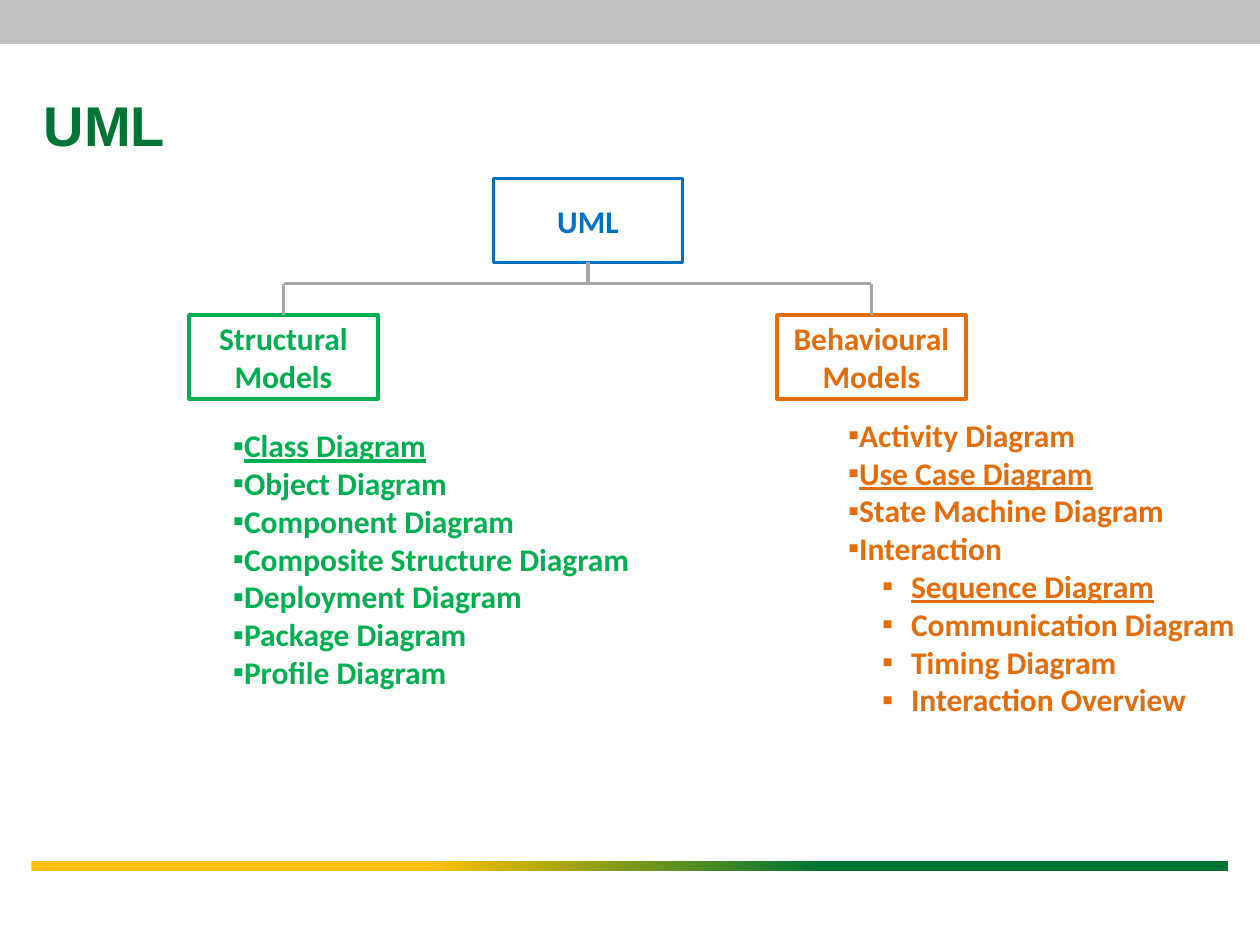
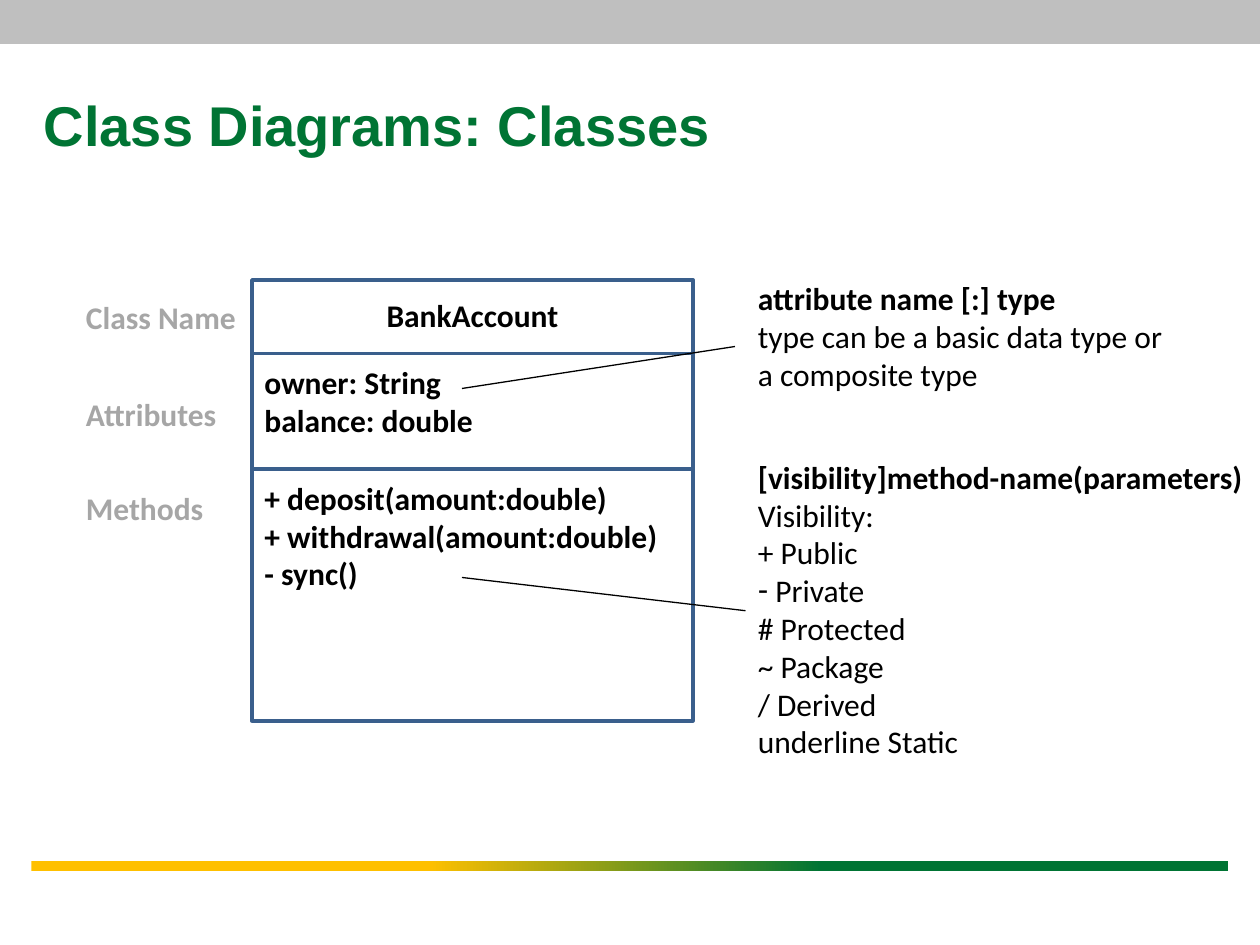
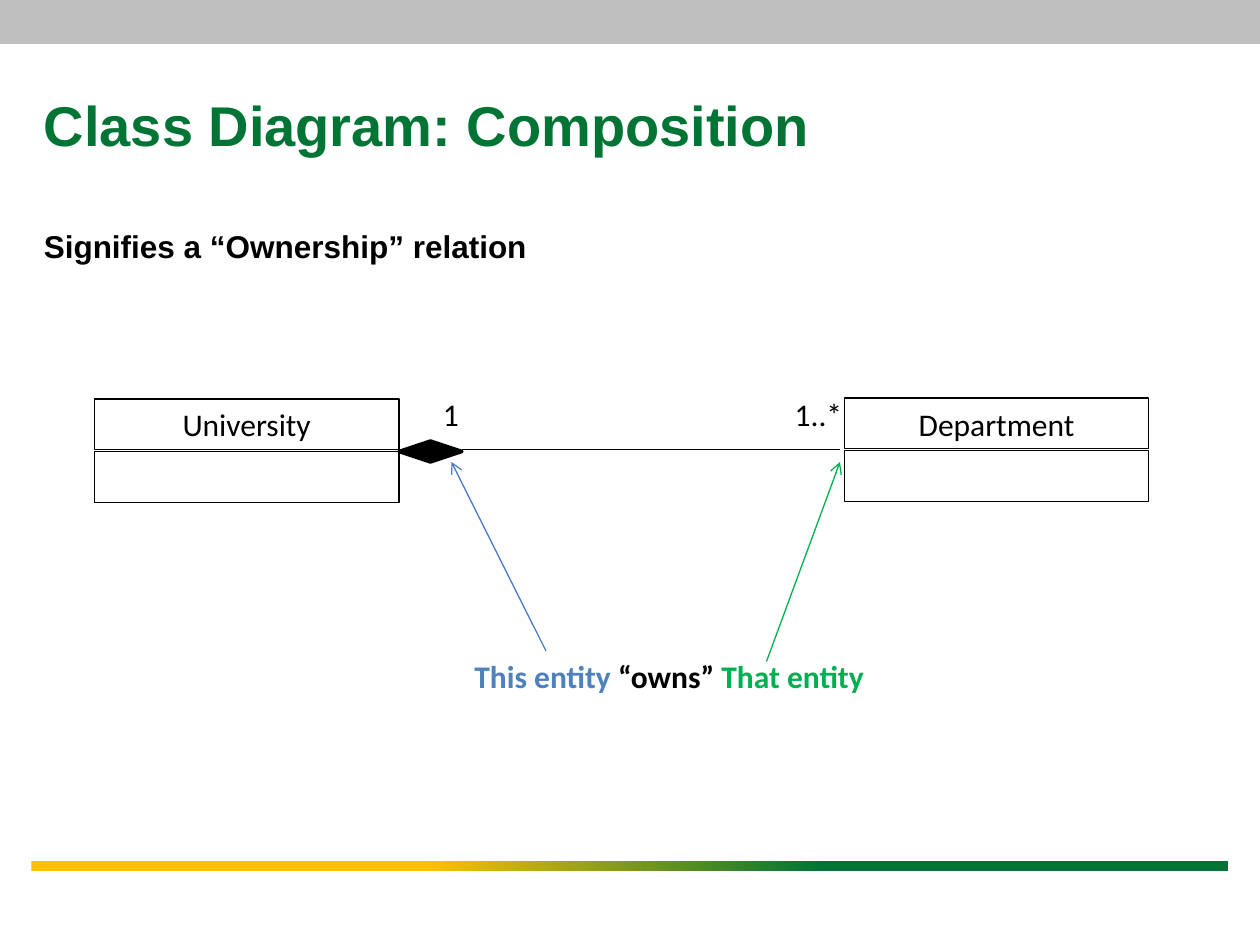
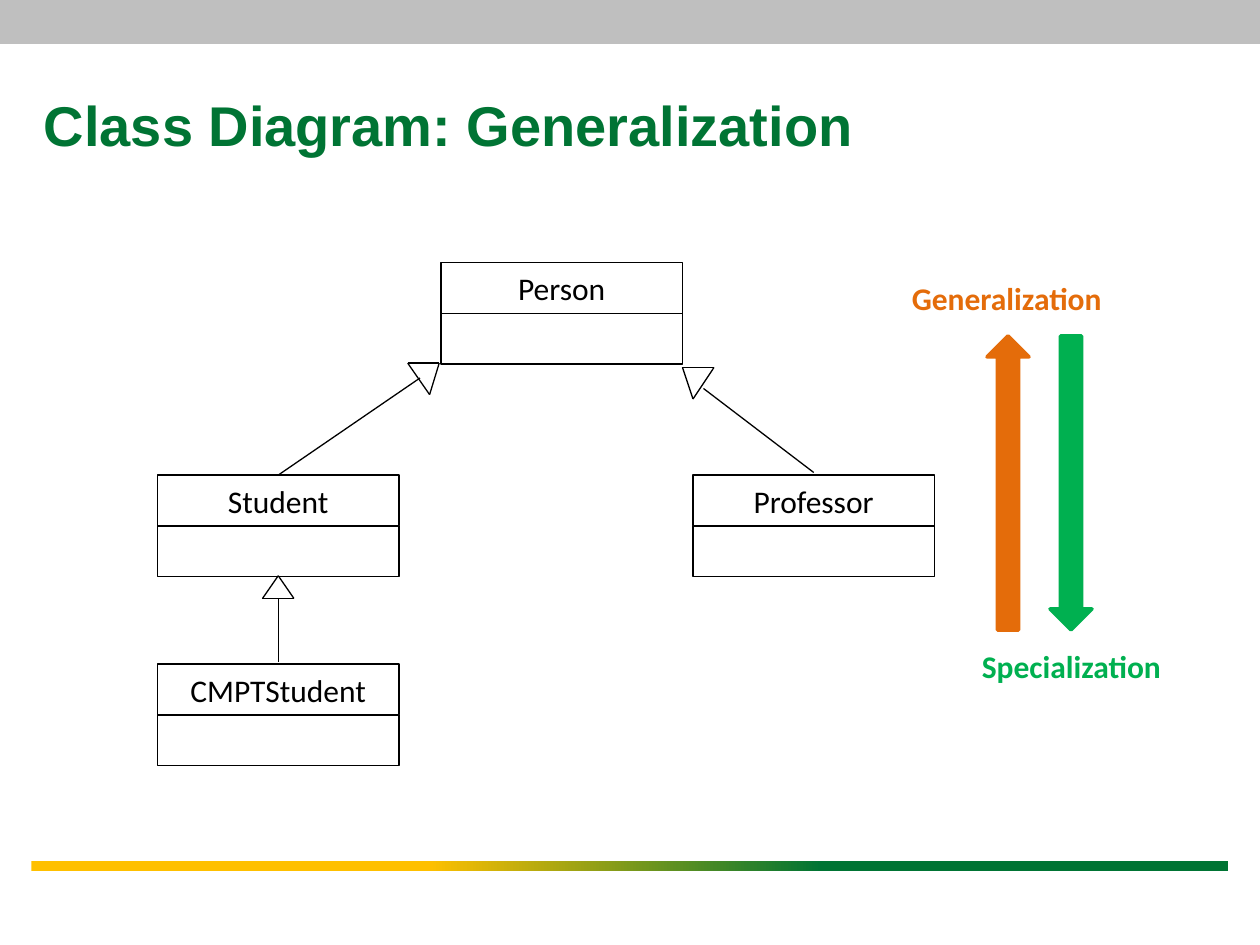
from copy import deepcopy

from lxml.etree import SubElement
from pptx import Presentation
from pptx.dml.color import RGBColor
from pptx.enum.shapes import MSO_CONNECTOR, MSO_SHAPE
from pptx.enum.text import MSO_ANCHOR, MSO_AUTO_SIZE, PP_ALIGN
from pptx.oxml.ns import qn
from pptx.util import Pt

# Colours
BLACK = RGBColor(0x00, 0x00, 0x00)
BAND_GRAY = RGBColor(0xBF, 0xBF, 0xBF)
GRAY = RGBColor(0xA6, 0xA6, 0xA6)
GOLD = RGBColor(0xFF, 0xC0, 0x00)
DARK_GREEN = RGBColor(0x00, 0x74, 0x34)
GREEN = RGBColor(0x00, 0xB0, 0x50)
ORANGE = RGBColor(0xE4, 0x6C, 0x0A)
BLUE = RGBColor(0x00, 0x70, 0xC0)
SOFT_BLUE = RGBColor(0x4F, 0x81, 0xBD)
ARROW_BLUE = RGBColor(0x4B, 0x7E, 0xBC)
FRAME_BLUE = RGBColor(0x3A, 0x5F, 0x8C)

# Text styles
PLAIN = {"name": "Calibri", "size": Pt(18), "bold": False}
BOLD = {**PLAIN, "bold": True}
UNDERLINED = {**BOLD, "underline": True}
TITLE = {"name": "Arial", "size": Pt(32), "bold": True}
LEAD = {**TITLE, "size": Pt(18)}

ROW = 29  # height of one line of text with its margins
SQUARE = "\u25aa"


def add_spans(para, spans):
    """Add (text, style, colour) spans; a vertical tab breaks the line."""
    for text, style, color in spans:
        for index, piece in enumerate(text.split("\v")):
            if index:
                para.add_line_break()
            span = para.add_run()
            span.text = piece
            for key, value in style.items():
                setattr(span.font, key, value)
            span.font.color.rgb = color


def add_bullet(para, char, margin=0, indent=0):
    props = para._p.get_or_add_pPr()
    props.set("marL", str(Pt(margin)))
    props.set("indent", str(Pt(indent)))
    SubElement(props, qn("a:buFont")).set("typeface", "Arial")
    SubElement(props, qn("a:buChar")).set("char", char)


def add_text(page, left, top, width, height, paras, wrap=False,
             align=None, anchor=MSO_ANCHOR.TOP):
    """Add a text box and return its paragraphs; paras is a list of span lists."""
    box = page.shapes.add_textbox(Pt(left), Pt(top), Pt(width), Pt(height))
    frame = box.text_frame
    frame.word_wrap = wrap
    frame.vertical_anchor = anchor
    if not wrap:
        frame.auto_size = MSO_AUTO_SIZE.SHAPE_TO_FIT_TEXT
    for index, spans in enumerate(paras):
        para = frame.add_paragraph() if index else frame.paragraphs[0]
        para.alignment = align
        add_spans(para, spans)
    return frame.paragraphs


def add_label(page, left, top, width, text, style=BOLD, color=BLACK):
    add_text(page, left, top, width, ROW, [[(text, style, color)]])


def add_box(page, left, top, width, height, line=BLACK, weight=2.0, fill=None,
            kind=MSO_SHAPE.RECTANGLE, text="", style=BOLD):
    """Add an outlined shape, with text in the colour of its line."""
    box = page.shapes.add_shape(kind, Pt(left), Pt(top), Pt(width), Pt(height))
    box.shadow.inherit = False
    box.line.color.rgb = line
    box.line.width = Pt(weight)
    if fill is None:
        box.fill.background()
    else:
        box.fill.solid()
        box.fill.fore_color.rgb = fill
    if text:
        para = box.text_frame.paragraphs[0]
        para.alignment = PP_ALIGN.CENTER
        add_spans(para, [(text, style, line)])
    return box


def add_line(page, start, end, color=BLACK, weight=0.75, arrow=False):
    line = page.shapes.add_connector(
        MSO_CONNECTOR.STRAIGHT, *(Pt(value) for value in (*start, *end)))
    line.line.color.rgb = color
    line.line.width = Pt(weight)
    if arrow:
        SubElement(line.line._get_or_add_ln(), qn("a:tailEnd")).set("type", "arrow")
    SubElement(line._element.spPr, qn("a:effectLst"))


def add_triangle(page, *corners):
    for index, corner in enumerate(corners):
        add_line(page, corners[index - 1], corner)


def add_class(page, left, top, width, name, step=ROW):
    """Add a class: a name compartment above an empty one."""
    add_box(page, left, top, width, ROW, weight=0.75, text=name, style=PLAIN)
    add_box(page, left, top + step, width, ROW, weight=0.75)


def add_page(deck, title):
    """Add a blank page with the top band, the gradient rule and the title."""
    page = deck.slides.add_slide(deck.slide_layouts[6])
    add_box(page, 0, 0, 720, 24, line=BAND_GRAY, fill=BAND_GRAY)

    rule = add_box(page, 18, 492, 684, 6)
    rule.line.fill.background()
    rule.fill.gradient()
    rule.fill.gradient_angle = 0
    stops = rule._element.spPr.find(qn("a:gradFill")).find(qn("a:gsLst"))
    for stop in list(stops):
        stops.append(deepcopy(stop))
    colors = ((0, GOLD), (0.33, GOLD), (0.66, DARK_GREEN), (1, DARK_GREEN))
    for stop, (position, color) in zip(rule.fill.gradient_stops, colors):
        stop.position = position
        stop.color.rgb = color

    add_text(page, 18, 30, 684, 81.5, [[(title, TITLE, DARK_GREEN)]],
             wrap=True, anchor=MSO_ANCHOR.MIDDLE)
    return page


def add_diagram_list(page, left, top, width, names, chosen, color, nested=()):
    """List diagram names; chosen ones are underlined, nested ones indented."""
    paras = [[(name, UNDERLINED if name in chosen else BOLD, color)]
             for name in (*names, *nested)]
    box_paras = add_text(page, left, top, width, 181.5, paras)
    for index, para in enumerate(box_paras):
        if index < len(names):
            add_bullet(para, SQUARE)
        else:
            para.level = 1
            add_bullet(para, SQUARE, 36, -16.5)


def build_overview(deck):
    page = add_page(deck, "UML")

    # Tree of models
    for left, top, text, color in ((282, 102, "UML", BLUE),
                                   (108, 180, "Structural Models", GREEN),
                                   (444, 180, "Behavioural\vModels", ORANGE)):
        add_box(page, left, top, 108, 48, line=color, text=text)

    # Diagrams of each model
    add_diagram_list(
        page, 126, 240, 245,
        ("Class Diagram", "Object Diagram", "Component Diagram",
         "Composite Structure Diagram", "Deployment Diagram",
         "Package Diagram", "Profile Diagram"),
        ("Class Diagram",), GREEN)
    add_diagram_list(
        page, 477.5, 234, 245.5,
        ("Activity Diagram", "Use Case Diagram", "State Machine Diagram",
         "Interaction"),
        ("Use Case Diagram", "Sequence Diagram"), ORANGE,
        ("Sequence Diagram", "Communication Diagram", "Timing Diagram",
         "Interaction Overview"))

    # Branches
    for start, end in (((162, 162), (498, 162)), ((162, 162), (162, 180)),
                       ((498, 162), (498, 180)), ((336, 150), (336, 162))):
        add_line(page, start, end, GRAY, 2.25)


def build_classes(deck):
    page = add_page(deck, "Class Diagrams: Classes")

    # Compartments and their labels
    for top, height in ((160, 42), (202, 66), (268, 144)):
        add_box(page, 144, top, 252, height, line=FRAME_BLUE)
    for top, width, text in ((167, 101, "Class Name"), (222, 90, "Attributes"),
                             (276, 82, "Methods")):
        add_label(page, 42, top, width, text, color=GRAY)

    # Class members
    add_text(page, 144, 165.5, 252, ROW, [[("BankAccount", BOLD, BLACK)]],
             wrap=True, align=PP_ALIGN.CENTER)
    add_text(page, 144, 204, 137, 51,
             [[(text, BOLD, BLACK)] for text in ("owner: String", "balance: double")])
    add_text(page, 144, 270, 264, 73,
             [[(text, BOLD, BLACK)] for text in (
                 "+ deposit(amount:double)", "+ withdrawal(amount:double)",
                 "- sync()")], wrap=True)

    # Attribute note
    add_text(page, 426, 156, 253, 73,
             [[("attribute name [:] type\v", BOLD, BLACK),
               ("type can be a basic data type or ", PLAIN, BLACK)],
              [("a composite type", PLAIN, BLACK)]])
    add_line(page, (420, 198), (264, 222))

    # Method note
    rules = ("Visibility:", "+ Public ", " Private ", "# Protected ",
             "~ Package ", "/ Derived ", "underline Static")
    paras = add_text(page, 426, 258, 294, 181.5,
                     [[("[visibility]method-name(parameters)", BOLD, BLACK)]]
                     + [[(rule, PLAIN, BLACK)] for rule in rules])
    add_bullet(paras[3], "-")
    add_line(page, (426, 349), (264, 330))


def build_composition(deck):
    page = add_page(deck, "Class Diagram: Composition")
    add_text(page, 18, 126, 684, 356.5,
             [[("Signifies a \u201cOwnership\u201d relation", LEAD, BLACK)]], wrap=True)

    # Classes and the relation between them
    add_class(page, 54, 228, 174, "University", 30)
    add_class(page, 482.5, 227.5, 174, "Department", 30)
    add_box(page, 228, 252, 36, 12, fill=BLACK, kind=MSO_SHAPE.DIAMOND)
    add_label(page, 246, 222, 24, "1", PLAIN)
    add_label(page, 447, 222, 42, "1..*", PLAIN)
    add_line(page, (264, 257), (480, 257))

    # Explanation
    add_text(page, 264, 372, 239, ROW,
             [[("This entity", BOLD, SOFT_BLUE),
               (" \u201cowns\u201d ", BOLD, BLACK),
               ("That entity", BOLD, GREEN)]])
    add_line(page, (312, 372), (258, 264), ARROW_BLUE, arrow=True)
    add_line(page, (438, 378), (480, 264), GREEN, arrow=True)


def build_generalization(deck):
    page = add_page(deck, "Class Diagram: Generalization")

    # Classes
    for left, top, name in ((252, 150, "Person"), (90, 271.5, "Student"),
                            (396, 271.5, "Professor"), (90, 379.5, "CMPTStudent")):
        add_class(page, left, top, 138, name)

    # Inheritance arrows
    add_line(page, (159, 271.5), (240, 216))
    add_triangle(page, (251, 207.5), (233, 207.5), (245.5, 225.5))
    add_line(page, (465, 270), (402, 222))
    add_triangle(page, (390, 210), (408, 210), (396, 228))
    add_line(page, (159, 378), (159, 342))
    add_triangle(page, (159, 329), (150, 342), (168, 342))

    # Directions
    add_label(page, 514, 156, 124, "Generalization", color=ORANGE)
    add_label(page, 554, 366, 117, "Specialization", color=GREEN)
    for left, kind, color in ((564, MSO_SHAPE.UP_ARROW, ORANGE),
                              (600, MSO_SHAPE.DOWN_ARROW, GREEN)):
        add_box(page, left, 192, 24, 168, line=color, fill=color, kind=kind)


def main():
    deck = Presentation()
    deck.slide_width = Pt(720)
    deck.slide_height = Pt(540)
    build_overview(deck)
    build_classes(deck)
    build_composition(deck)
    build_generalization(deck)
    deck.save("out.pptx")


main()
